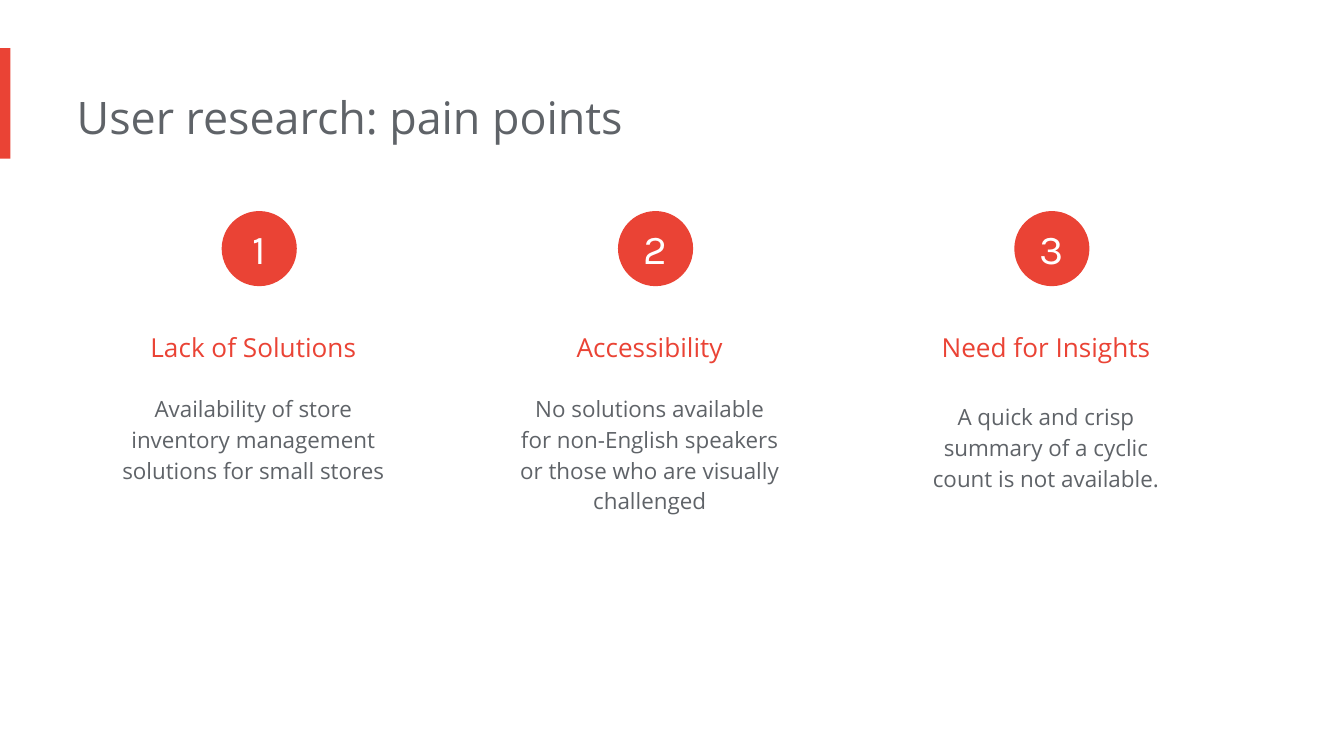
from pptx import Presentation
from pptx.dml.color import RGBColor
from pptx.enum.shapes import MSO_SHAPE
from pptx.enum.text import MSO_ANCHOR, PP_ALIGN
from pptx.util import Cm, Pt

RED, GREY, WHITE = "EA4335", "5F6368", "FFFFFF"
BODY_FONT, NUMBER_FONT = "Open Sans", "Karla"


def colour(hex_value):
    return RGBColor.from_string(hex_value)


def add_solid(slide, preset, left, top, width, height):
    solid = slide.shapes.add_shape(preset, Cm(left), Cm(top), Cm(width), Cm(height))
    solid.shadow.inherit = False
    solid.fill.solid()
    solid.fill.fore_color.rgb = colour(RED)
    solid.line.fill.background()
    return solid


def write(frame, words, size, hex_value, font=BODY_FONT, align=PP_ALIGN.CENTER,
          spacing=None):
    paragraph = frame.paragraphs[0]
    paragraph.alignment = align
    if spacing:
        paragraph.line_spacing = spacing
    run = paragraph.add_run()
    run.text = words
    run.font.size = Pt(size)
    run.font.name = font
    run.font.color.rgb = colour(hex_value)


def add_text(slide, left, top, width, height, words, size, hex_value, **style):
    box = slide.shapes.add_textbox(Cm(left), Cm(top), Cm(width), Cm(height))
    frame = box.text_frame
    frame.word_wrap = True
    frame.margin_left = 0
    frame.margin_right = frame.margin_top = frame.margin_bottom = Cm(0.25)
    write(frame, words, size, hex_value, **style)


def add_header(slide, left, top, width, height, title):
    # Accent bar on the slide edge, title beside it
    add_solid(slide, MSO_SHAPE.RECTANGLE, left, top, 0.2, height)
    add_text(slide, left + 1.45, top + 0.53, width - 1.45, 1.55, title, 24, GREY,
             align=PP_ALIGN.LEFT)


def add_pain_point(slide, left, top, width, height, number, heading, detail, drop):
    # Numbered circle
    circle = add_solid(slide, MSO_SHAPE.OVAL, left + 1.88, top, 1.42, 1.42)
    frame = circle.text_frame
    frame.margin_left = frame.margin_right = 0
    frame.margin_top = frame.margin_bottom = 0
    frame.vertical_anchor = MSO_ANCHOR.MIDDLE
    write(frame, str(number), 22, WHITE, font=NUMBER_FONT)
    # Heading and detail
    add_text(slide, left, top + 1.73, width, 1.42, heading, 14, RED, spacing=1.5)
    detail_top = 3.15 + drop
    add_text(slide, left, top + detail_top, width, height - detail_top, detail,
             12, GREY, spacing=1.15)


def main():
    deck = Presentation()
    deck.slide_width, deck.slide_height = Cm(25.4), Cm(14.29)
    slide = deck.slides.add_slide(deck.slide_layouts[6])

    add_header(slide, 0, 0.91, 18.54, 2.09, "User research: pain points")

    # Heading, detail, and how far the detail sits below its usual place
    pain_points = [
        ("Lack of Solutions",
         "Availability of store inventory management solutions for small stores", 0),
        ("Accessibility",
         "No solutions available for non-English speakers or those who are "
         "visually challenged", 0),
        ("Need for Insights",
         "A quick and crisp summary of a cyclic count is not available.", 0.15),
    ]
    first_left, pitch = 2.31, 7.49
    for index, (heading, detail, drop) in enumerate(pain_points):
        add_pain_point(slide, first_left + index * pitch, 3.99, 5.21, 7.16,
                       index + 1, heading, detail, drop)

    deck.save("out.pptx")


if __name__ == "__main__":
    main()
